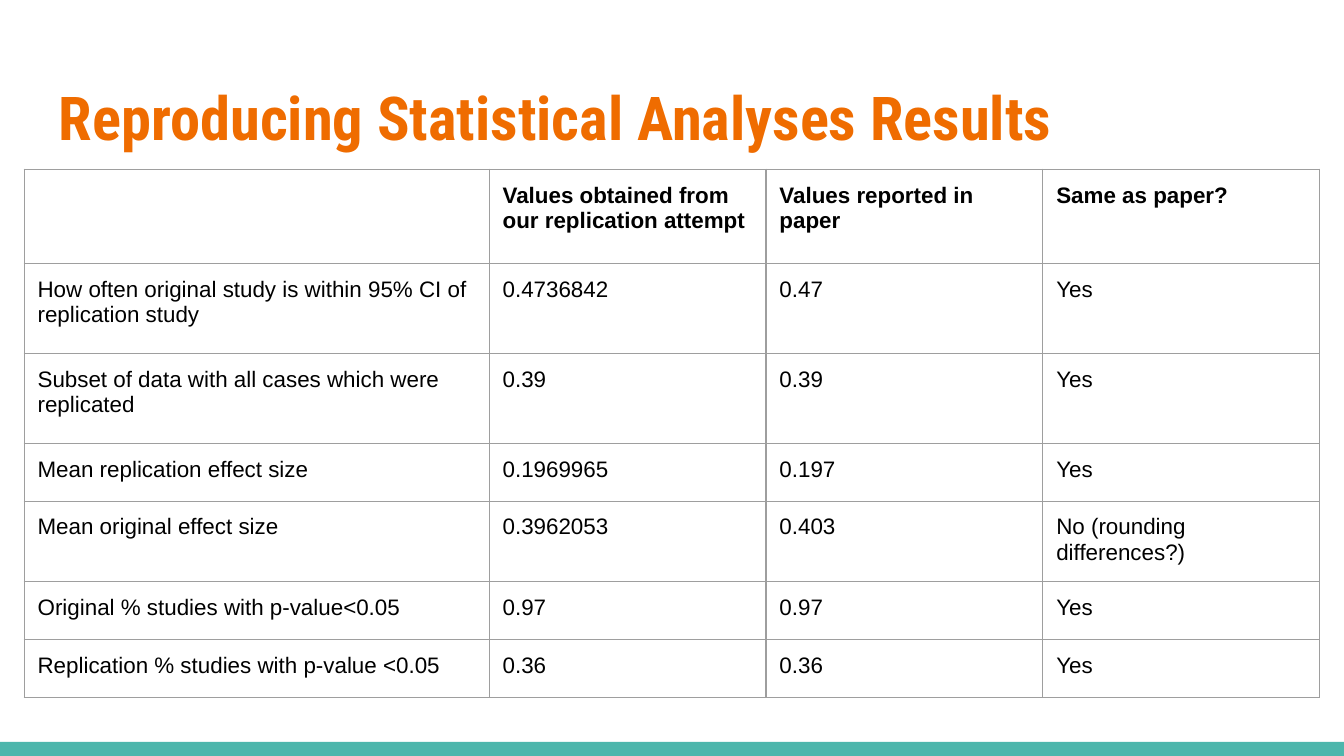
from lxml import etree
from pptx import Presentation
from pptx.dml.color import RGBColor
from pptx.enum.shapes import MSO_SHAPE
from pptx.enum.text import MSO_ANCHOR
from pptx.oxml.ns import qn
from pptx.util import Inches, Pt

RECT = MSO_SHAPE.RECTANGLE
MIDDLE = MSO_ANCHOR.MIDDLE
TEAL = RGBColor(0x4D, 0xB6, 0xAC)
ORANGE = RGBColor(0xEF, 0x6C, 0x00)
BLACK = RGBColor(0, 0, 0)
GRAY = RGBColor(0x9E, 0x9E, 0x9E)
INSET = Inches(0.1)

COL_WIDTHS = [3.46, 2.06, 2.06, 2.06]
ROW_HEIGHTS = [0.7, 0.67, 0.67, 0.43, 0.44, 0.43, 0.43]
ROWS = [
    ("", "Values obtained from our replication attempt",
     "Values reported in paper", "Same as paper?"),
    ("How often original study is within 95% CI of replication study",
     "0.4736842", "0.47", "Yes"),
    ("Subset of data with all cases which were replicated", "0.39", "0.39", "Yes"),
    ("Mean replication effect size", "0.1969965", "0.197", "Yes"),
    ("Mean original effect size", "0.3962053", "0.403", "No (rounding differences?)"),
    ("Original % studies with p-value<0.05", "0.97", "0.97", "Yes"),
    ("Replication % studies with p-value <0.05", "0.36", "0.36", "Yes"),
]


def add_run(p, text, font, size, color, bold):
    r = p.add_run()
    r.text = text
    r.font.name = font
    r.font.size = Pt(size)
    r.font.color.rgb = color
    r.font.bold = bold


def add_borders(cell):
    tcPr = cell._tc.get_or_add_tcPr()
    for side in ("a:lnL", "a:lnR", "a:lnT", "a:lnB"):
        ln = etree.SubElement(tcPr, qn(side), w=str(Pt(0.75)))
        fill = etree.SubElement(ln, qn("a:solidFill"))
        etree.SubElement(fill, qn("a:srgbClr"), val=str(GRAY))


# 16:9 slide
prs = Presentation()
prs.slide_width = Inches(10)
prs.slide_height = Inches(10) * 9 // 16
s = prs.slides.add_slide(prs.slide_layouts[6])

# Bottom bar
bar_top = Inches(5.52)
bar = s.shapes.add_shape(RECT, 0, bar_top, prs.slide_width, prs.slide_height - bar_top)
bar.shadow.inherit = False
bar.fill.solid()
bar.fill.fore_color.rgb = TEAL
bar.line.fill.background()

# Title
title = s.shapes.add_textbox(Inches(0.34), Inches(0.48), Inches(9.32), Inches(0.77))
tf = title.text_frame
tf.word_wrap = True
tf.vertical_anchor = MIDDLE
tf.margin_left = tf.margin_right = tf.margin_top = tf.margin_bottom = INSET
add_run(tf.paragraphs[0], "Reproducing Statistical Analyses Results",
        "Roboto Condensed", 32.4, ORANGE, True)

# Results table
table = s.shapes.add_table(
    len(ROWS), len(COL_WIDTHS), Inches(0.18), Inches(1.26),
    Inches(sum(COL_WIDTHS)), Inches(sum(ROW_HEIGHTS))).table
table.first_row = False
table.horz_banding = False
for col, width in zip(table.columns, COL_WIDTHS):
    col.width = Inches(width)
for row, height in zip(table.rows, ROW_HEIGHTS):
    row.height = Inches(height)

for i, texts in enumerate(ROWS):
    for j, text in enumerate(texts):
        cell = table.cell(i, j)
        cell.margin_left = cell.margin_right = INSET
        cell.margin_top = cell.margin_bottom = INSET
        add_borders(cell)
        cell.fill.background()
        if text:
            add_run(cell.text_frame.paragraphs[0], text, "Arial", 12, BLACK, i == 0)

prs.save("out.pptx")
